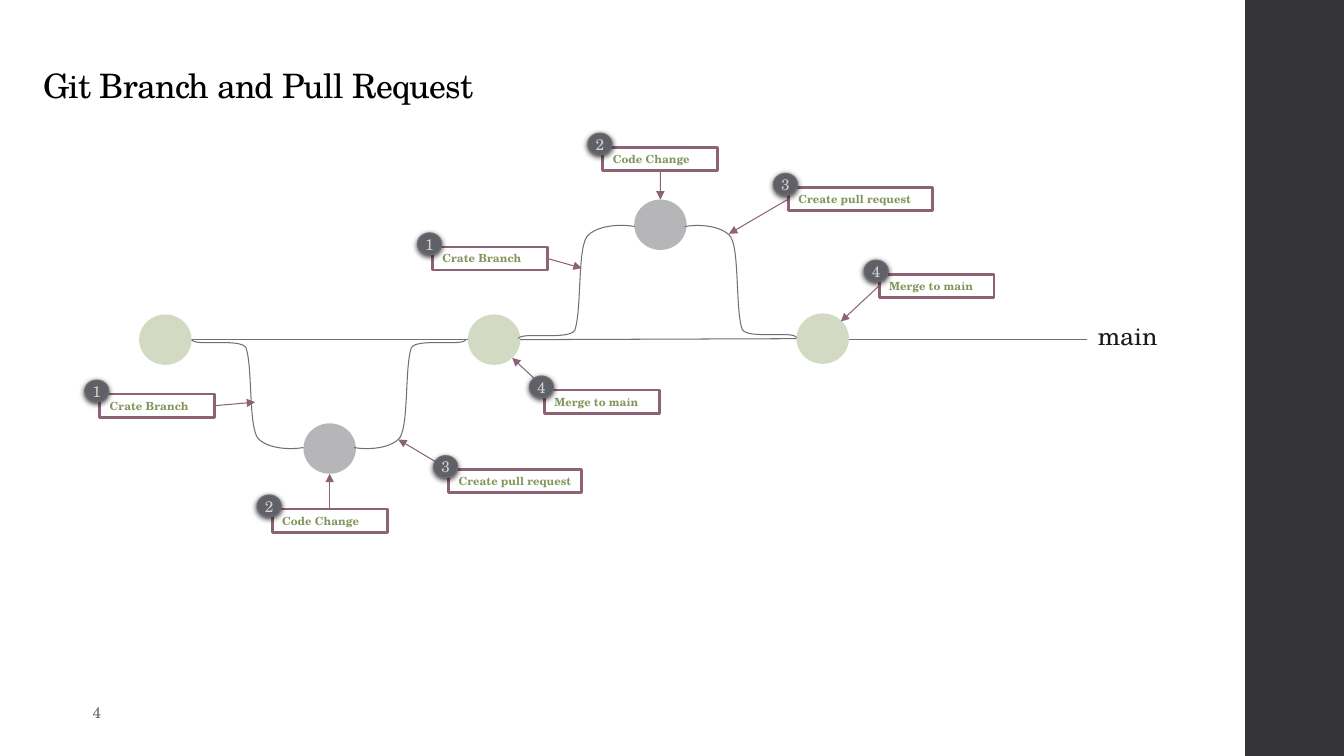
"""Builds a slide that shows a Git branch and pull request flow."""
import pptx
import pptx.dml.color
import pptx.enum.shapes
import pptx.enum.text
import pptx.oxml
import pptx.oxml.ns
import pptx.util

Inches = pptx.util.Inches
Pt = pptx.util.Pt
RGB = pptx.dml.color.RGBColor.from_string
MSO_SHAPE = pptx.enum.shapes.MSO_SHAPE
ANCHOR = pptx.enum.text.MSO_ANCHOR
ALIGN = pptx.enum.text.PP_ALIGN
NS = pptx.oxml.ns.nsdecls("a")
qn = pptx.oxml.ns.qn

COLORS = {
    "sidebar": "353537", "main_commit": "A7B789", "branch_commit": "6F6F74",
    "branch": "6F6F74", "step": "8D6374", "step_text": "81955B", "white": "FFFFFF",
    "badge": "606068", "badge_text": "D6D3CC", "title": "000000",
    "main_text": "1A1A1A", "page": "666666",
}
FONT = "TeX Gyre Schola"

presentation = pptx.Presentation()
presentation.slide_width = Inches(13.33)
presentation.slide_height = Inches(7.5)
slide = presentation.slides.add_slide(presentation.slide_layouts[6])
shapes = slide.shapes


def add_block(kind, left, top, width, height, fill, line=None, line_width=0.75):
    block = shapes.add_shape(kind, Inches(left), Inches(top), Inches(width), Inches(height))
    block.shadow.inherit = False
    block.fill.solid()
    block.fill.fore_color.rgb = RGB(COLORS[fill])
    if line:
        block.line.color.rgb = RGB(COLORS[line])
        block.line.width = Pt(line_width)
    else:
        block.line.fill.background()
    return block


def write(holder, text, size, color, margins, anchor, wrap=True):
    frame = holder.text_frame
    frame.word_wrap = wrap
    frame.vertical_anchor = anchor
    frame.margin_left, frame.margin_right = [Inches(margin) for margin in margins]
    frame.margin_top = frame.margin_bottom = 0
    paragraph = frame.paragraphs[0]
    paragraph.text = text
    paragraph.alignment = ALIGN.LEFT
    paragraph.font.name = FONT
    paragraph.font.size = Pt(size)
    paragraph.font.color.rgb = RGB(COLORS[color])
    return paragraph


add_block(MSO_SHAPE.RECTANGLE, 12.35, 0, 1, 7.5, "sidebar")

title_box = shapes.add_textbox(Inches(0.43), Inches(0.22), Inches(11.55), Inches(0.83))
title = write(title_box, "Git Branch and Pull Request", 24, "title", (0, 0.1), ANCHOR.BOTTOM)
title.line_spacing = 0.9
title.runs[0].font._element.set("spc", "-50")

commits = [
    (1.38, 3.12, "main_commit"), (4.64, 3.12, "main_commit"), (7.9, 3.11, "main_commit"),
    (3.01, 4.2, "branch_commit"), (6.29, 1.98, "branch_commit"),
]
for left, top, color in commits:
    commit = add_block(MSO_SHAPE.OVAL, left, top, 0.52, 0.5, color)
    tint = commit.fill._xPr.find(".//" + qn("a:srgbClr"))
    tint.append(pptx.oxml.parse_xml(f'<a:alpha {NS} val="50000"/>'))

links = []
for x1, y1, x2, y2 in [(1.9, 3.37, 4.64, 3.37), (5.16, 3.37, 7.9, 3.36), (8.42, 3.37, 10.78, 3.37)]:
    main_line = shapes.add_connector(
        pptx.enum.shapes.MSO_CONNECTOR.STRAIGHT, Inches(x1), Inches(y1), Inches(x2), Inches(y2))
    links.append((main_line, "branch"))

main_box = shapes.add_textbox(Inches(10.79), Inches(3.13), Inches(0.79), Inches(0.4))
write(main_box, "main", 18, "main_text", (0.1, 0.1), ANCHOR.MIDDLE, wrap=False)

bend_points = [
    (0, 0), (0.03, 0.07), (0.48, -0.02), (0.54, 0.08), (0.61, 0.29),
    (0.56, 0.9), (0.67, 0.99), (0.78, 1.09), (1, 1.09), (1.11, 1.07),
]
branches = [(1.9, 3.37, 1, 1), (4.62, 3.37, -1, 1), (5.14, 3.36, 1.04, -1.04), (7.9, 3.35, -1, -1.03)]
for x, y, x_scale, y_scale in branches:
    points = [(Inches(x + dx * x_scale), Inches(y + dy * y_scale)) for dx, dy in bend_points]
    builder = shapes.build_freeform(*points[0])
    builder.add_line_segments(points[1:], close=False)
    branch = builder.convert_to_shape()
    segments = list(branch._element.iter(qn("a:lnTo")))
    for first in range(0, len(segments), 3):
        curve = pptx.oxml.parse_xml(f"<a:cubicBezTo {NS}/>")
        segments[first].addprevious(curve)
        for segment in segments[first:first + 3]:
            curve.append(segment[0])
            segment.getparent().remove(segment)
    branch.shadow.inherit = False
    branch.fill.background()
    branch.line.color.rgb = RGB(COLORS["branch"])
    branch.line.width = Pt(0.75)

steps = [
    (1, "Crate Branch", 0.99, 3.91, 1.14, 3, (2.12, 4.02), (2.53, 3.99)),
    (2, "Code Change", 2.7, 5.05, 1.14, 0, (3.27, 5.05), (3.27, 4.7)),
    (3, "Create pull request", 4.45, 4.66, 1.32, None, (4.42, 4.64), (3.95, 4.36)),
    (4, "Merge to main", 5.4, 3.87, 1.14, None, (5.39, 3.84), (5.08, 3.55)),
    (1, "Crate Branch", 4.29, 2.45, 1.14, 3, (5.42, 2.57), (5.77, 2.66)),
    (2, "Code Change", 5.98, 1.46, 1.14, 2, (6.55, 1.69), (6.55, 1.98)),
    (3, "Create pull request", 7.82, 1.86, 1.43, 1, (7.8, 1.97), (7.23, 2.32)),
    (4, "Merge to main", 8.72, 2.72, 1.14, 1, (8.72, 2.84), (8.34, 3.19)),
]
for number, label, left, top, width, side, start, end in steps:
    box = add_block(MSO_SHAPE.RECTANGLE, left, top, width, 0.23, "white", "step", 2)
    write(box, label, 8, "step_text", (0.1, 0), ANCHOR.MIDDLE).font.bold = True

    arrow = shapes.add_connector(
        pptx.enum.shapes.MSO_CONNECTOR.STRAIGHT, *[Inches(value) for value in start + end])
    if side is not None:
        arrow.begin_connect(box, side)
    links.append((arrow, "step"))

    badge = add_block(MSO_SHAPE.OVAL, left - 0.15, top - 0.14, 0.24, 0.22, "badge", "branch")
    badge._element.spPr.find(qn("a:effectLst")).append(pptx.oxml.parse_xml(
        f'<a:outerShdw {NS} blurRad="50800" dist="15240" dir="5400000">'
        '<a:srgbClr val="000000"><a:alpha val="75000"/></a:srgbClr></a:outerShdw>'))
    digit = write(badge, str(number), 11, "badge_text", (0, 0), ANCHOR.MIDDLE, wrap=False)
    digit.alignment = ALIGN.CENTER

for link, color in links:
    link.line.color.rgb = RGB(COLORS[color])
    link.line.width = Pt(0.75)
    if color == "step":
        link.line._get_or_add_ln().append(pptx.oxml.parse_xml(f'<a:tailEnd {NS} type="triangle"/>'))
    link._element.spPr.append(pptx.oxml.parse_xml(f"<a:effectLst {NS}/>"))

page_box = shapes.add_textbox(Inches(0.92), Inches(6.96), Inches(0.8), Inches(0.22))
write(page_box, "4", 11, "page", (0, 0.1), ANCHOR.MIDDLE)

presentation.save("out.pptx")
